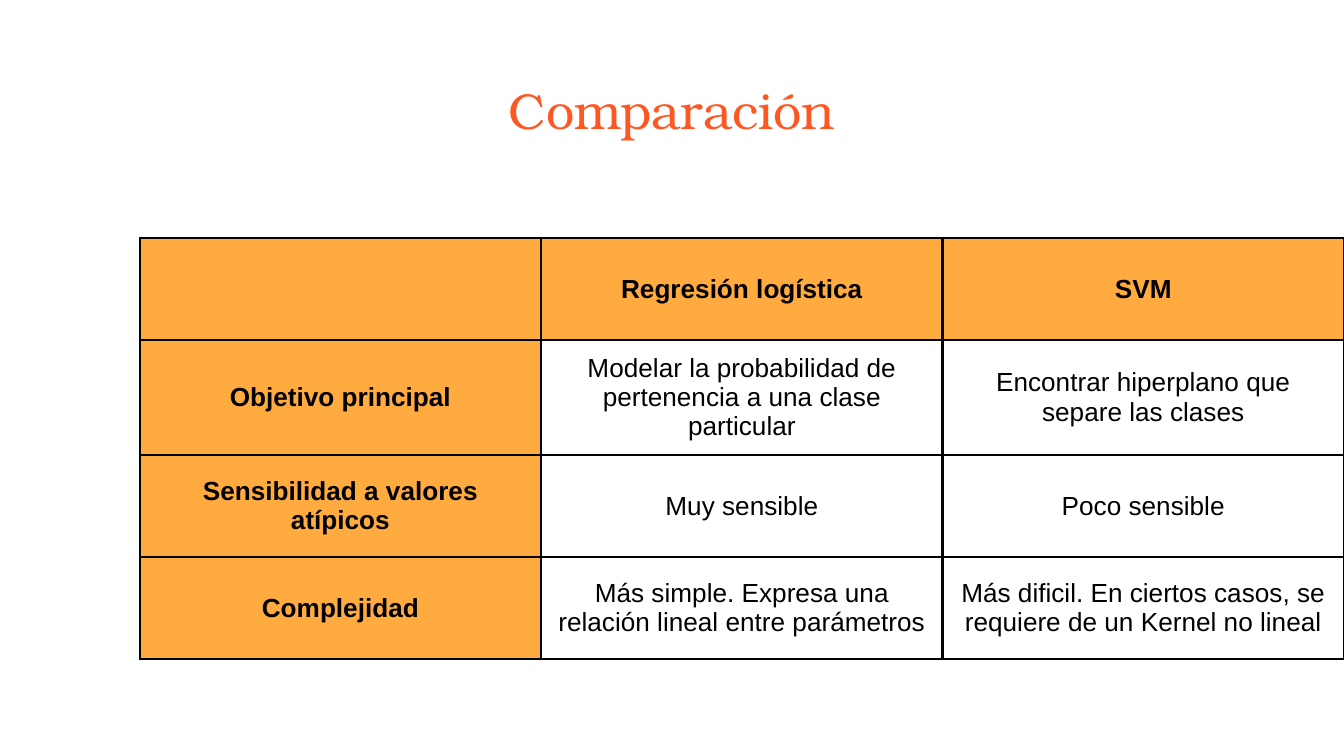
from dataclasses import dataclass

from lxml.etree import SubElement
from pptx import Presentation
from pptx.dml.color import RGBColor
from pptx.enum.text import MSO_ANCHOR, MSO_AUTO_SIZE, PP_ALIGN
from pptx.oxml.ns import qn
from pptx.util import Inches, Pt


@dataclass(frozen=True)
class Theme:
    title_font: str = "TeX Gyre Bonum"
    body_font: str = "Arial"
    title_size: float = 27
    body_size: float = 14
    border_width: float = 1.5
    title_color: str = "FF5722"
    text_color: str = "000000"
    header_fill: str = "FFAB40"
    border_color: str = "000000"
    inset: float = 0.1


THEME = Theme()

SLIDE_WIDTH = Inches(10)
SLIDE_HEIGHT = SLIDE_WIDTH * 9 // 16

COMPARISON = [
    ["", "Regresión logística", "SVM"],
    ["Objetivo principal",
     "Modelar la probabilidad de pertenencia a una clase particular",
     "Encontrar hiperplano que separe las clases"],
    ["Sensibilidad a valores atípicos", "Muy sensible", "Poco sensible"],
    ["Complejidad",
     "Más simple. Expresa una relación lineal entre parámetros",
     "Más dificil. En ciertos casos, se requiere de un Kernel no lineal"],
]


def write_text(text_frame, text, *, font=THEME.body_font, size=THEME.body_size,
               color=THEME.text_color, bold=False):
    """Write one centred paragraph in the given format."""
    paragraph = text_frame.paragraphs[0]
    paragraph.alignment = PP_ALIGN.CENTER
    paragraph.font.size = Pt(size)
    if not text:
        return
    run = paragraph.add_run()
    run.text = text
    run.font.name = font
    run.font.size = Pt(size)
    run.font.bold = bold
    run.font.color.rgb = RGBColor.from_string(color)


def set_margins(container):
    for side in ("left", "top", "right", "bottom"):
        setattr(container, f"margin_{side}", Inches(THEME.inset))


def add_title(slide, text):
    title = slide.shapes.title
    title.left, title.top = Inches(0.34), Inches(0.49)
    title.width, title.height = Inches(9.32), Inches(0.63)
    text_frame = title.text_frame
    text_frame.word_wrap = True
    text_frame.auto_size = MSO_AUTO_SIZE.NONE
    text_frame.vertical_anchor = MSO_ANCHOR.TOP
    set_margins(text_frame)
    write_text(text_frame, text, font=THEME.title_font,
               size=THEME.title_size, color=THEME.title_color)


def set_borders(cell):
    """Draw all four borders; they must come before the cell's fill."""
    properties = cell._tc.get_or_add_tcPr()
    for side in ("lnL", "lnR", "lnT", "lnB"):
        line = SubElement(properties, qn(f"a:{side}"), w=str(Pt(THEME.border_width)))
        fill = SubElement(line, qn("a:solidFill"))
        SubElement(fill, qn("a:srgbClr"), val=THEME.border_color)


def format_cell(cell, text, is_header):
    set_margins(cell)
    cell.vertical_anchor = MSO_ANCHOR.MIDDLE
    set_borders(cell)
    if is_header:
        cell.fill.solid()
        cell.fill.fore_color.rgb = RGBColor.from_string(THEME.header_fill)
    else:
        cell.fill.background()
    write_text(cell.text_frame, text, bold=is_header)


def add_comparison_table(slide, rows, left=Inches(1.04), row_height=Inches(0.76)):
    """Add a table that reaches from left to the slide's right edge."""
    row_count, column_count = len(rows), len(rows[0])
    frame = slide.shapes.add_table(
        row_count, column_count, left, Inches(1.77),
        SLIDE_WIDTH - left, row_height * row_count)
    table = frame.table
    table.horz_banding = False
    table.first_row = False
    for row_index, row in enumerate(rows):
        for column_index, text in enumerate(row):
            is_header = row_index == 0 or column_index == 0
            format_cell(table.cell(row_index, column_index), text, is_header)


def main():
    presentation = Presentation()
    presentation.slide_width = SLIDE_WIDTH
    presentation.slide_height = SLIDE_HEIGHT
    title_only = presentation.slide_layouts[5]
    slide = presentation.slides.add_slide(title_only)

    # Heading
    add_title(slide, "Comparación")

    # Comparison of the two methods
    add_comparison_table(slide, COMPARISON)

    presentation.save("out.pptx")


if __name__ == "__main__":
    main()
